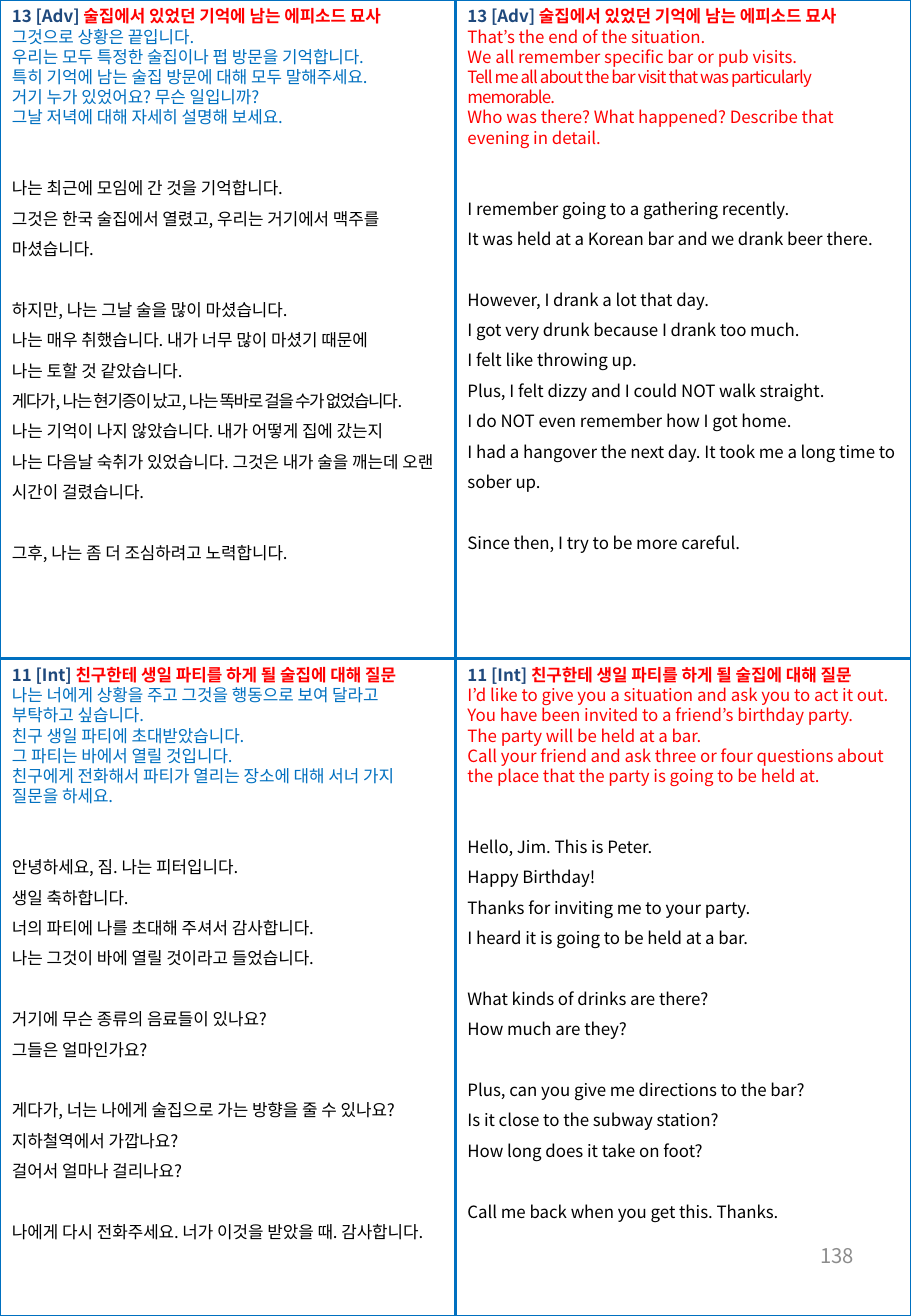
from lxml import etree
from pptx import Presentation
from pptx.dml.color import RGBColor
from pptx.enum.shapes import MSO_CONNECTOR, MSO_SHAPE
from pptx.enum.text import MSO_ANCHOR, PP_ALIGN
from pptx.oxml.ns import qn
from pptx.util import Inches, Pt

STRAIGHT = MSO_CONNECTOR.STRAIGHT
RECT = MSO_SHAPE.RECTANGLE
MIDDLE = MSO_ANCHOR.MIDDLE
RIGHT = PP_ALIGN.RIGHT
FONT = "Noto Sans CJK KR"
NAVY, RED, BLUE, BLACK, GRAY = "1F497D", "FF0000", "0070C0", "000000", "8C8C8C"
W, H = 7.5, 10.83
COL, ROW = W / 2, 5.42

BAR = ("13 [Adv] ", "술집에서 있었던 기억에 남는 에피소드 묘사")
PARTY = ("11 [Int] ", "친구한테 생일 파티를 하게 될 술집에 대해 질문")
TIGHT = {  # letter spacing in hundredths of a point
    "게다가, 나는 현기증이 났고, 나는 똑바로 걸을 수가 없었습니다.": -80,
    "Tell me all about the bar visit that was particularly memorable.": -50,
}

# Each card: column, row, height, heading, prompt colour, prompt, answer stanzas
CARDS = [
    (0, 0, 4.7, BAR, BLUE, [
        "그것으로 상황은 끝입니다.\v우리는 모두 특정한 술집이나 펍 방문을 기억합니다.\v"
        "특히 기억에 남는 술집 방문에 대해 모두 말해주세요.\v거기 누가 있었어요? 무슨 일입니까?",
        "그날 저녁에 대해 자세히 설명해 보세요.",
    ], [
        ["나는 최근에 모임에 간 것을 기억합니다.",
         "그것은 한국 술집에서 열렸고, 우리는 거기에서 맥주를 마셨습니다."],
        ["하지만, 나는 그날 술을 많이 마셨습니다.",
         "나는 매우 취했습니다. 내가 너무 많이 마셨기 때문에",
         "나는 토할 것 같았습니다.",
         "게다가, 나는 현기증이 났고, 나는 똑바로 걸을 수가 없었습니다.",
         "나는 기억이 나지 않았습니다. 내가 어떻게 집에 갔는지",
         "나는 다음날 숙취가 있었습니다. 그것은 내가 술을 깨는데 오랜 시간이 걸렸습니다."],
        ["그후, 나는 좀 더 조심하려고 노력합니다."],
    ]),
    (1, 0, 4.6, BAR, RED, [
        "That’s the end of the situation.",
        "We all remember specific bar or pub visits.",
        "Tell me all about the bar visit that was particularly memorable.",
        "Who was there? What happened? Describe that evening in detail.",
    ], [
        ["I remember going to a gathering recently.",
         "It was held at a Korean bar and we drank beer there."],
        ["However, I drank a lot that day.",
         "I got very drunk because I drank too much.",
         "I felt like throwing up.",
         "Plus, I felt dizzy and I could NOT walk straight.",
         "I do NOT even remember how I got home.",
         "I had a hangover the next day. It took me a long time to sober up."],
        ["Since then, I try to be more careful."],
    ]),
    (0, 1, 5.35, PARTY, BLUE, [
        "나는 너에게 상황을 주고 그것을 행동으로 보여 달라고 부탁하고 싶습니다.\v"
        "친구 생일 파티에 초대받았습니다.\v그 파티는 바에서 열릴 것입니다.\v"
        "친구에게 전화해서 파티가 열리는 장소에 대해 서너 가지 질문을 하세요.",
    ], [
        ["안녕하세요, 짐. 나는 피터입니다.", "생일 축하합니다.",
         "너의 파티에 나를 초대해 주셔서 감사합니다.",
         "나는 그것이 바에 열릴 것이라고 들었습니다."],
        ["거기에 무슨 종류의 음료들이 있나요?", "그들은 얼마인가요?"],
        ["게다가, 너는 나에게 술집으로 가는 방향을 줄 수 있나요?",
         "지하철역에서 가깝나요?", "걸어서 얼마나 걸리나요?"],
        ["나에게 다시 전화주세요. 너가 이것을 받았을 때. 감사합니다."],
    ]),
    (1, 1, 4.86, PARTY, RED, [
        "I’d like to give you a situation and ask you to act it out.",
        "You have been invited to a friend’s birthday party.",
        "The party will be held at a bar.",
        "Call your friend and ask three or four questions about the place "
        "that the party is going to be held at.",
    ], [
        ["Hello, Jim. This is Peter.", "Happy Birthday!",
         "Thanks for inviting me to your party.",
         "I heard it is going to be held at a bar."],
        ["What kinds of drinks are there?", "How much are they?"],
        ["Plus, can you give me directions to the bar?",
         "Is it close to the subway station?", "How long does it take on foot?"],
        ["Call me back when you get this. Thanks."],
    ]),
]


def rgb(color):
    return RGBColor.from_string(color)


def text_box(s, x, y, w, h):
    tf = s.shapes.add_textbox(Inches(x), Inches(y), Inches(w), Inches(h)).text_frame
    tf.word_wrap = True
    return tf


def set_font(p, color, size=10, bold=False):
    font = p.font
    font.name, font.size, font.bold = FONT, Pt(size), bold
    font.color.rgb = rgb(color)
    etree.SubElement(p._p.pPr.find(qn("a:defRPr")), qn("a:ea"), typeface=FONT)


def add_line(tf, text, color, pitch, before=0):
    p = tf.add_paragraph()
    p.text = text
    p.line_spacing, p.space_before = Pt(pitch), Pt(before)
    set_font(p, color)
    if text in TIGHT:
        for r in p.runs:
            r._r.get_or_add_rPr().set("spc", str(TIGHT[text]))


def add_card(s, x, y, w, h, heading, color, prompt, stanzas):
    tf = text_box(s, x, y, w, h)
    # Heading: number and level, then topic
    p = tf.paragraphs[0]
    p.line_spacing = Pt(12)
    set_font(p, NAVY, bold=True)
    for text, run_color in zip(heading, (NAVY, RED)):
        r = p.add_run()
        r.text = text
        r.font.color.rgb = rgb(run_color)
    # Prompt
    for text in prompt:
        add_line(tf, text, color, 12)
    # Answer, with a gap above each stanza
    for i, stanza in enumerate(stanzas):
        for j, text in enumerate(stanza):
            gap = 0 if j else 18 if i else 24
            add_line(tf, text, BLACK, 18, gap)


def add_frame(s, x, y, w, h, split_x, split_y):
    # Dividers
    for x1, y1, x2, y2 in ((x, split_y, x + w, split_y), (split_x, y, split_x, y + h)):
        line = s.shapes.add_connector(STRAIGHT, Inches(x1), Inches(y1), Inches(x2), Inches(y2))
        line.line.color.rgb = rgb(BLUE)
        line.line.width = Pt(1.5)
        etree.SubElement(line._element.spPr, qn("a:effectLst"))
    # Page border
    border = s.shapes.add_shape(RECT, Inches(x), Inches(y), Inches(w), Inches(h))
    border.shadow.inherit = False
    border.fill.background()
    border.line.color.rgb = rgb(BLUE)
    border.line.width = Pt(1.5)


def add_page_number(s, x, y, w, h):
    tf = text_box(s, x, y, w, h)
    tf.vertical_anchor = MIDDLE
    p = tf.paragraphs[0]
    p.text = "138"
    p.alignment = RIGHT
    set_font(p, GRAY, size=12)


def main():
    prs = Presentation()
    prs.slide_width, prs.slide_height = Inches(W), Inches(H)
    s = prs.slides.add_slide(prs.slide_layouts[6])
    add_frame(s, 0, 0, W, H, COL, ROW)
    add_page_number(s, 5.38, 10.04, 1.75, 0.58)
    for col, row, h, *content in CARDS:
        add_card(s, col * COL, row * ROW, COL, h, *content)
    prs.save("out.pptx")


if __name__ == "__main__":
    main()
